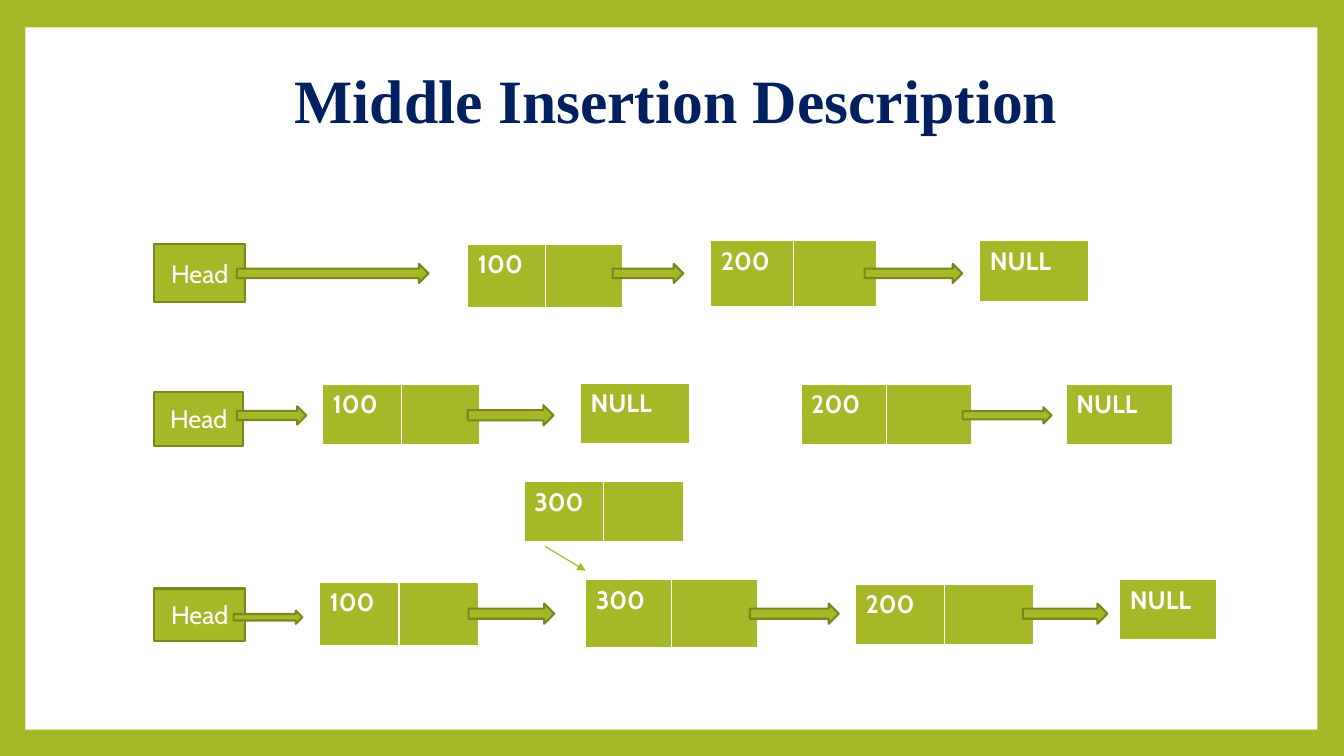
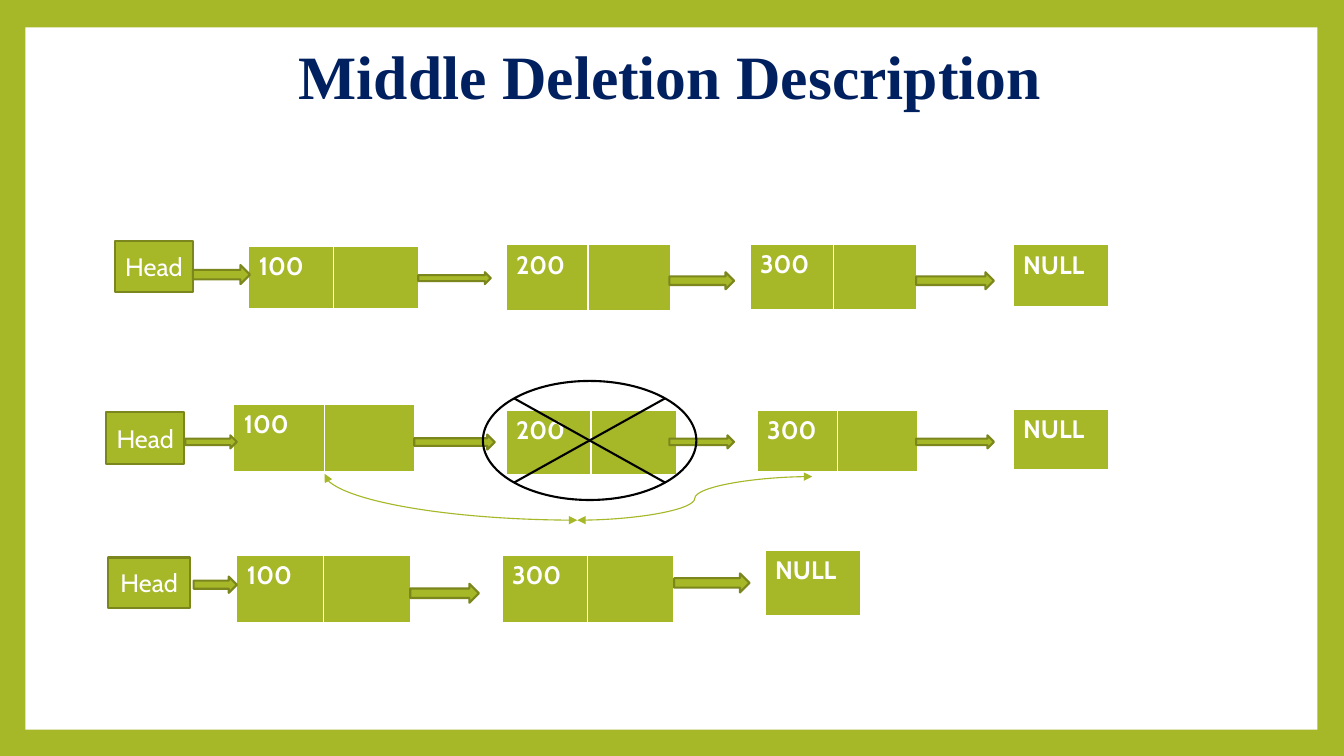
from lxml import etree
from pptx import Presentation
from pptx import util as u
from pptx.dml.color import RGBColor
from pptx.enum import shapes, text
from pptx.oxml.ns import qn

COLORS = {"green": "A6B727", "edge": "7B871D", "white": "FFFFFF",
          "navy": "002060", "black": "000000"}
RGB = {name: RGBColor.from_string(value) for name, value in COLORS.items()}
BORDERS = [("a:lnL", 1), ("a:lnR", 1), ("a:lnT", 1), ("a:lnB", 3)]

# Boxes are left, top, width, height in centimetres
LESSONS = [
    {
        "title": ("Middle Insertion Description", (3.23, 1.47, 27.64, 2.26)),
        "nodes": [
            ("100", 11.79, 6.15, 3.91, 1.63), ("200", 17.91, 6.07, 4.17, 1.68),
            ("NULL", 24.69, 6.07, 2.74, 1.55),
            ("100", 8.13, 9.68, 3.96, 1.55), ("NULL", 14.63, 9.65, 2.74, 1.55),
            ("200", 20.19, 9.68, 4.29, 1.55), ("NULL", 26.87, 9.68, 2.67, 1.55),
            ("300", 13.21, 12.14, 4.01, 1.55),
            ("100", 8.05, 14.68, 4.01, 1.63), ("300", 14.76, 14.61, 4.34, 1.73),
            ("200", 21.56, 14.73, 4.5, 1.55), ("NULL", 28.22, 14.61, 2.44, 1.55),
        ],
        "heads": [(3.89, 6.15, 2.29, 1.47), (3.89, 9.88, 2.24, 1.35),
                  (3.89, 14.83, 2.29, 1.32)],
        "arrows": [
            (5.97, 6.65, 4.83, 0.48), (15.44, 6.65, 1.78, 0.48),
            (21.79, 6.65, 2.46, 0.48),
            (5.97, 10.24, 1.75, 0.46), (11.79, 10.21, 2.16, 0.51),
            (24.26, 10.26, 2.24, 0.41),
            (5.89, 15.39, 1.73, 0.33), (11.81, 15.21, 2.16, 0.51),
            (18.9, 15.21, 2.24, 0.51), (25.78, 15.21, 2.13, 0.51),
        ],
    },
    {
        "title": ("Middle Deletion Description", (3.18, 0.97, 27.43, 2.06)),
        "nodes": [
            ("100", 6.27, 6.2, 4.27, 1.6), ("200", 12.75, 6.17, 4.14, 1.68),
            ("300", 18.9, 6.15, 4.19, 1.68), ("NULL", 25.53, 6.17, 2.41, 1.6),
            ("100", 5.89, 10.19, 4.57, 1.73), ("200", 12.75, 10.34, 4.29, 1.65),
            ("300", 19.08, 10.34, 4.04, 1.57), ("NULL", 25.53, 10.31, 2.41, 1.55),
            ("100", 5.97, 14, 4.37, 1.73), ("300", 12.65, 14, 4.32, 1.73),
            ("NULL", 19.28, 13.87, 2.41, 1.68),
        ],
        "heads": [(2.9, 6.07, 1.96, 1.3), (2.67, 10.39, 1.98, 1.3),
                  (2.72, 14.05, 2.08, 1.27)],
        "arrows": [
            (4.86, 6.68, 1.44, 0.48), (10.54, 6.86, 1.83, 0.3),
            (16.87, 6.86, 1.63, 0.43), (23.09, 6.86, 1.96, 0.43),
            (4.67, 10.97, 1.3, 0.33), (10.44, 10.95, 2.03, 0.38),
            (16.87, 10.97, 1.63, 0.33), (23.09, 10.97, 1.96, 0.33),
            (4.88, 14.53, 1.09, 0.41), (10.34, 14.71, 1.73, 0.48),
            (16.99, 14.45, 1.9, 0.48),
        ],
    },
]


def add_box(slide, kind, box, fill=None, line=None):
    """Add a preset shape with a plain fill and a 1.5 pt outline."""
    shape = slide.shapes.add_shape(kind, *map(u.Cm, box))
    shape.shadow.inherit = False
    if fill:
        shape.fill.solid()
        shape.fill.fore_color.rgb = RGB[fill]
    else:
        shape.fill.background()
    if line:
        shape.line.color.rgb = RGB[line]
        shape.line.width = u.Pt(1.5)
    else:
        shape.line.fill.background()
    return shape


def add_pointer(slide, kind, ends, tips):
    """Add a thin green connector with triangles at the given tips."""
    pointer = slide.shapes.add_connector(kind, *map(u.Cm, ends))
    pointer.line.color.rgb = RGB["green"]
    pointer.line.width = u.Pt(0.79)
    for tip in tips:
        etree.SubElement(pointer.line._get_or_add_ln(), qn(tip)).set("type", "triangle")
    etree.SubElement(pointer._element.spPr, qn("a:effectLst"))
    return pointer


prs = Presentation()
prs.slide_width, prs.slide_height = u.Cm(33.87), u.Cm(19.05)
background = prs.slide_master.background.fill
background.solid()
background.fore_color.rgb = RGB["green"]

slides = []
for lesson in LESSONS:
    slide = prs.slides.add_slide(prs.slide_layouts[6])
    slides.append(slide)
    add_box(slide, shapes.MSO_SHAPE.RECTANGLE, (0.64, 0.69, 32.56, 17.7), "white")

    # Title
    wording, box = lesson["title"]
    title = slide.shapes.add_textbox(*map(u.Cm, box)).text_frame
    title.word_wrap = True
    title.vertical_anchor = text.MSO_ANCHOR.MIDDLE
    title.text = wording
    heading = title.paragraphs[0]
    heading.alignment = text.PP_ALIGN.CENTER
    heading.line_spacing = 0.9
    heading.font.name, heading.font.size = "Times New Roman", u.Pt(44)
    heading.font.bold = True
    heading.font.color.rgb = RGB["navy"]

    # List nodes: value and link cells, or a single NULL cell
    for value, *box in lesson["nodes"]:
        columns = 1 if value == "NULL" else 2
        node = slide.shapes.add_table(1, columns, *map(u.Cm, box)).table
        node.first_row = node.horz_banding = False
        node.cell(0, 0).text = value
        for cell in node.iter_cells():
            cell.fill.solid()
            cell.fill.fore_color.rgb = RGB["green"]
            font = cell.text_frame.paragraphs[0].font
            font.name, font.size, font.bold = "Cabin", u.Pt(18), True
            font.color.rgb = RGB["white"]
            for place, (side, width) in enumerate(BORDERS):
                border = etree.Element(qn(side), w=str(u.Pt(width)))
                paint = etree.SubElement(border, qn("a:solidFill"))
                etree.SubElement(paint, qn("a:srgbClr")).set("val", COLORS["white"])
                cell._tc.get_or_add_tcPr().insert(place, border)

    # Head boxes
    for box in lesson["heads"]:
        head = add_box(slide, shapes.MSO_SHAPE.RECTANGLE, box, "green", "edge").text_frame
        head.text = "Head"
        head.word_wrap = False
        head.vertical_anchor = text.MSO_ANCHOR.MIDDLE
        label = head.paragraphs[0]
        label.alignment = text.PP_ALIGN.CENTER
        label.font.name, label.font.size = "Cabin", u.Pt(18)
        label.font.color.rgb = RGB["white"]

    # Links between nodes
    for box in lesson["arrows"]:
        add_box(slide, shapes.MSO_SHAPE.RIGHT_ARROW, box, "green", "edge")

insertion, deletion = slides

# New node moves into the list
add_pointer(insertion, shapes.MSO_CONNECTOR.STRAIGHT,
            (13.74, 13.77, 14.76, 14.38), ["a:tailEnd"])

# Deleted node is crossed out and bypassed
add_box(deletion, shapes.MSO_SHAPE.FLOWCHART_SUMMING_JUNCTION,
        (12.17, 9.6, 5.38, 3), line="black")
both_tips = ["a:headEnd", "a:tailEnd"]
bypass_start = add_pointer(deletion, shapes.MSO_CONNECTOR.CURVE,
                           (14.55, 13.11, 8.18, 11.94), both_tips)
bypass_start._element.spPr.find(qn("a:prstGeom")).set("prst", "curvedConnector2")
add_pointer(deletion, shapes.MSO_CONNECTOR.CURVE,
            (14.55, 13.11, 20.47, 12.01), both_tips)

prs.save("out.pptx")
